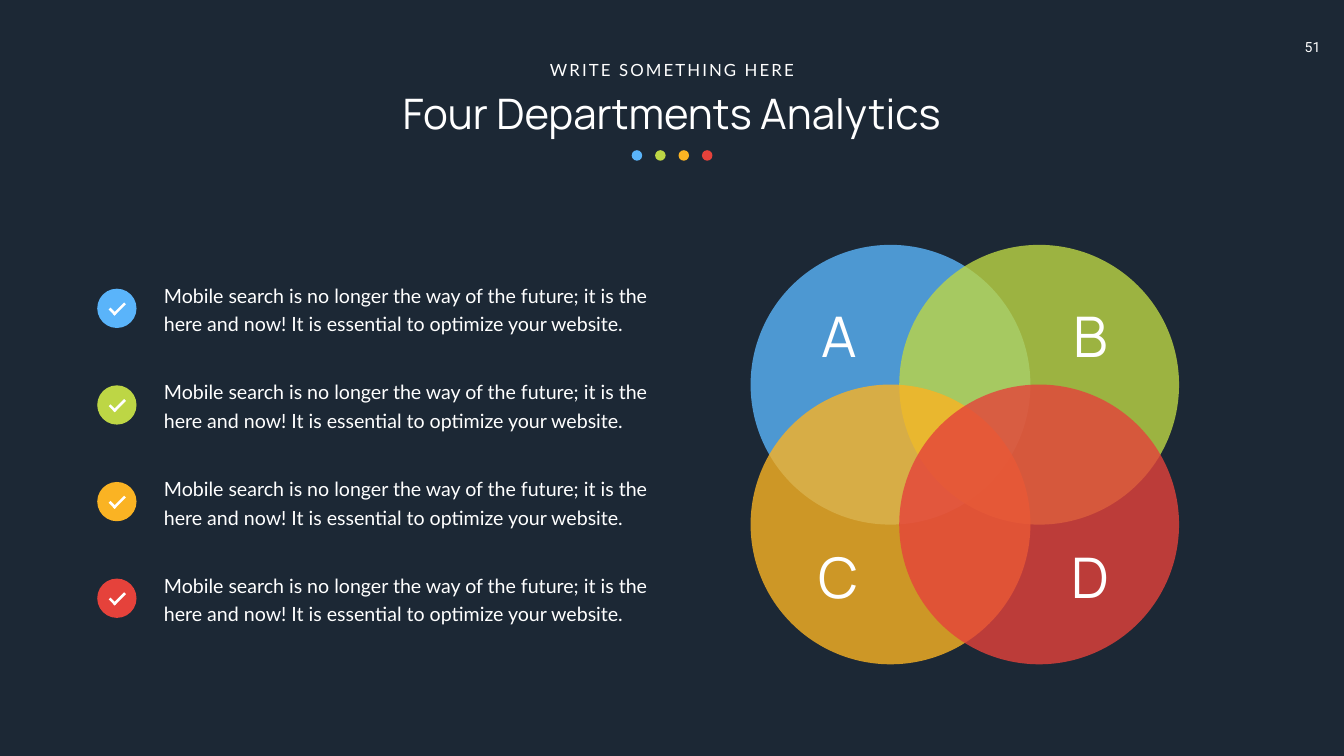
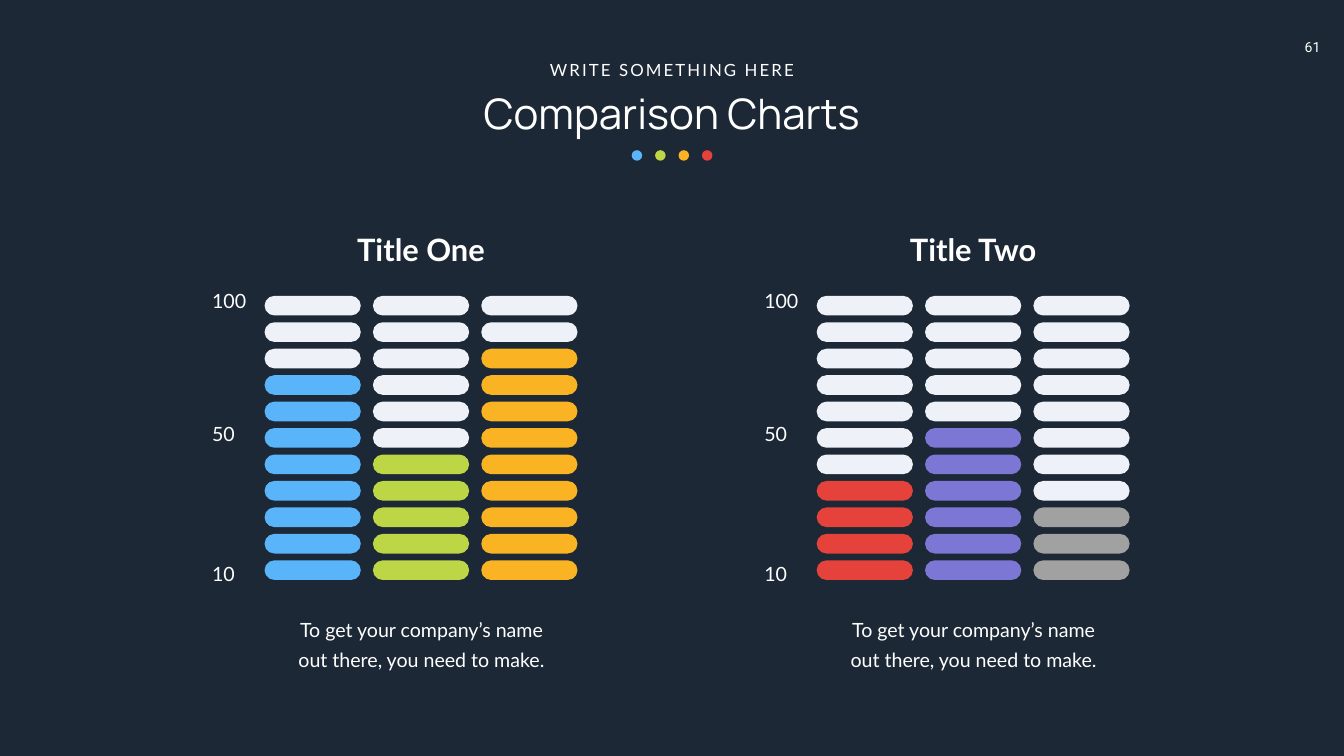
from dataclasses import dataclass

from lxml import etree
from pptx import Presentation
from pptx.dml.color import RGBColor
from pptx.enum import shapes, text
from pptx.oxml.ns import qn
from pptx.util import Cm, Pt


@dataclass(frozen=True)
class Theme:
    # Colours
    back: str = "1C2835"
    white: str = "FFFFFF"
    pale: str = "EFF1F8"
    blue: str = "5AB4FA"
    green: str = "BDD645"
    amber: str = "FAB323"
    red: str = "E5423B"
    violet: str = "7C76D4"
    gray: str = "A1A1A1"
    # Fonts
    head: str = "Manrope"
    body: str = "Lato"
    num: str = "Roboto"
    # Type sizes
    title: int = 60
    letter: int = 80
    sub: int = 44
    text: int = 28
    kicker: int = 24
    page: int = 20

    @property
    def four(self):
        return self.blue, self.green, self.amber, self.red


T = Theme()
KIND = shapes.MSO_SHAPE
LEFT, MID = text.PP_ALIGN.LEFT, text.PP_ALIGN.CENTER
ITEM = ("Mobile search is no longer the way of the future; it is the "
        "here and now! It is essential to optimize your website.")
NOTE = "To get your company’s name out there, you need to make."


# Basic parts
def place(shape, box):
    shape.left, shape.top, shape.width, shape.height = map(Cm, box)


def draw(slide, kind, box, color, turn=0, alpha=None):
    shape = slide.shapes.add_shape(kind, *map(Cm, box))
    shape.shadow.inherit = False
    shape.line.fill.background()
    shape.fill.solid()
    shape.fill.fore_color.rgb = RGBColor.from_string(color)
    shape.rotation = turn
    if alpha is not None:
        tint = shape.fill._xPr.find(qn("a:solidFill"))[0]
        etree.SubElement(tint, qn("a:alpha")).set("val", str(alpha * 1000))
    return shape


def write(slide, box, words, holder=None, size=T.text, face=T.body, bold=False,
          align=MID, inset=(0.25, 0.13), lead=None, track=None, middle=False):
    shape = holder or slide.shapes.add_textbox(0, 0, 0, 0)
    place(shape, box)
    frame = shape.text_frame
    frame.word_wrap = True
    frame.auto_size = text.MSO_AUTO_SIZE.NONE
    frame.vertical_anchor = text.MSO_ANCHOR.MIDDLE if middle else text.MSO_ANCHOR.TOP
    frame.margin_left = frame.margin_right = Cm(inset[0])
    frame.margin_top = frame.margin_bottom = Cm(inset[1])
    para = frame.paragraphs[0]
    para.alignment = align
    if lead:
        para.line_spacing = Pt(lead)
    run = para.add_run()
    run.text = words
    font = run.font
    font.name, font.size, font.bold = face, Pt(size), bold
    font.color.rgb = RGBColor.from_string(T.white)
    if track:
        run._r.get_or_add_rPr().set("spc", str(track * 100))
    return shape


# Shared heading: page number, title, kicker and row of dots
def start(deck, title, page):
    slide = deck.slides.add_slide(deck.slide_layouts[5])
    write(slide, (64.85, 1.7, 2.57, 1.37), page, size=T.page, face=T.num,
          inset=(0.5, 0.25))
    write(slide, (14.68, 4.27, 38.33, 2.82), title, holder=slide.shapes.title,
          size=T.title, face=T.head, middle=True)
    write(slide, (27.33, 2.87, 13.06, 1.27), "WRITE SOMETHING HERE",
          size=T.kicker, track=3)
    for i, color in enumerate(T.four):
        draw(slide, KIND.OVAL, (31.83 + 1.18 * i, 7.57, 0.53, 0.53), color)
    return slide


# Four overlapping circles with their letters
def venn(slide, x, y):
    cells = [(i % 2, i // 2) for i in range(4)]
    for (col, row), color in zip(cells, T.four):
        draw(slide, KIND.OVAL, (x + 7.49 * col, y + 7.04 * row, 14.1, 14.1),
             color, alpha=80)
    for (col, row), letter in zip(cells, "ABCD"):
        write(slide, (x + 2.34 + 12.67 * col, y + 2.72 + 12.12 * row, 4.22, 3.68),
              letter, size=T.letter, face=T.head, middle=True)


# One statement with a round tick mark
def item(slide, x, y, color):
    write(slide, (x + 2.75, y, 27.05, 3.5), ITEM, align=LEFT,
          inset=(0.61, 0.3), lead=40.8)
    top = y + 0.81
    draw(slide, KIND.OVAL, (x, top, 1.98, 1.98), color)
    draw(slide, KIND.RECTANGLE, (x + 0.56, top + 1.09, 0.43, 0.13), T.white, turn=45)
    draw(slide, KIND.RECTANGLE, (x + 0.71, top + 0.96, 0.81, 0.13), T.white, turn=315)


# Three columns of pills, filled from the bottom up
def panel(slide, x, y, title, bars, rows=11):
    for col, (color, count) in enumerate(bars):
        for row in range(rows):
            box = (x + 3.25 + 5.46 * col, y + 3.43 + 13.33 * row / 10, 4.85, 0.99)
            pill = draw(slide, KIND.ROUNDED_RECTANGLE, box,
                        color if row >= rows - count else T.pale)
            pill.adjustments[0] = 0.5
    for mark, drop in (("10", 16.21), ("100", 2.46), ("50", 9.14)):
        write(slide, (x, y + drop, 3.1, 1.98), mark, align=LEFT,
              inset=(0.61, 0.3), lead=43)
    write(slide, (x + 4.9, y, 12.47, 2.13), title, size=T.sub, bold=True)
    write(slide, (x + 4.17, y + 19.18, 13.97, 3.18), NOTE, lead=43)


# Slides
def circles(deck):
    slide = start(deck, "Four Departments Analytics", "51")
    venn(slide, 37.82, 12.34)
    for i, color in enumerate(T.four):
        item(slide, 4.9, 13.74 + 4.87 * i, color)


def charts(deck):
    slide = start(deck, "Comparison Charts", "61")
    panel(slide, 10.08, 11.48, "Title One",
          [(T.blue, 8), (T.green, 5), (T.amber, 9)])
    panel(slide, 37.9, 11.48, "Title Two",
          [(T.red, 4), (T.violet, 6), (T.gray, 3)])


def main():
    deck = Presentation()
    deck.slide_width, deck.slide_height = Cm(67.72), Cm(38.1)
    fill = deck.slide_master.background.fill
    fill.solid()
    fill.fore_color.rgb = RGBColor.from_string(T.back)
    circles(deck)
    charts(deck)
    deck.save("out.pptx")


if __name__ == "__main__":
    main()
